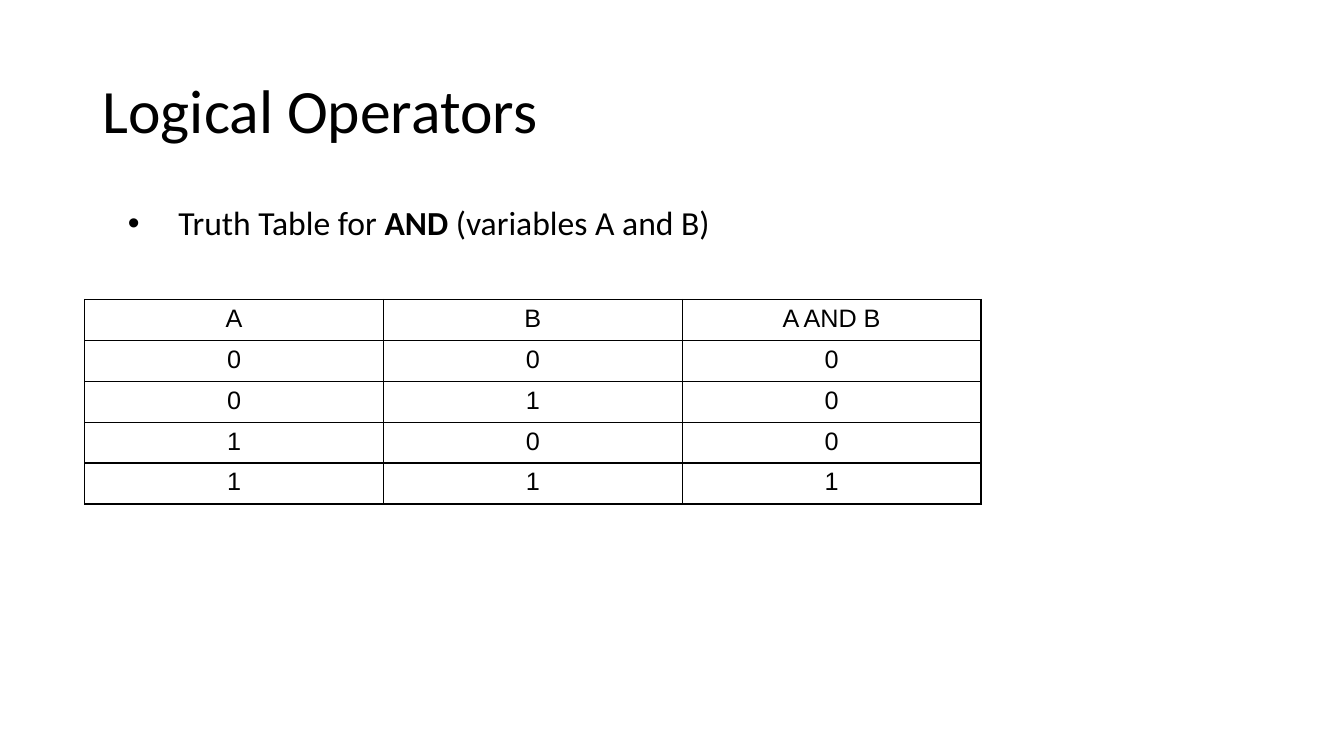
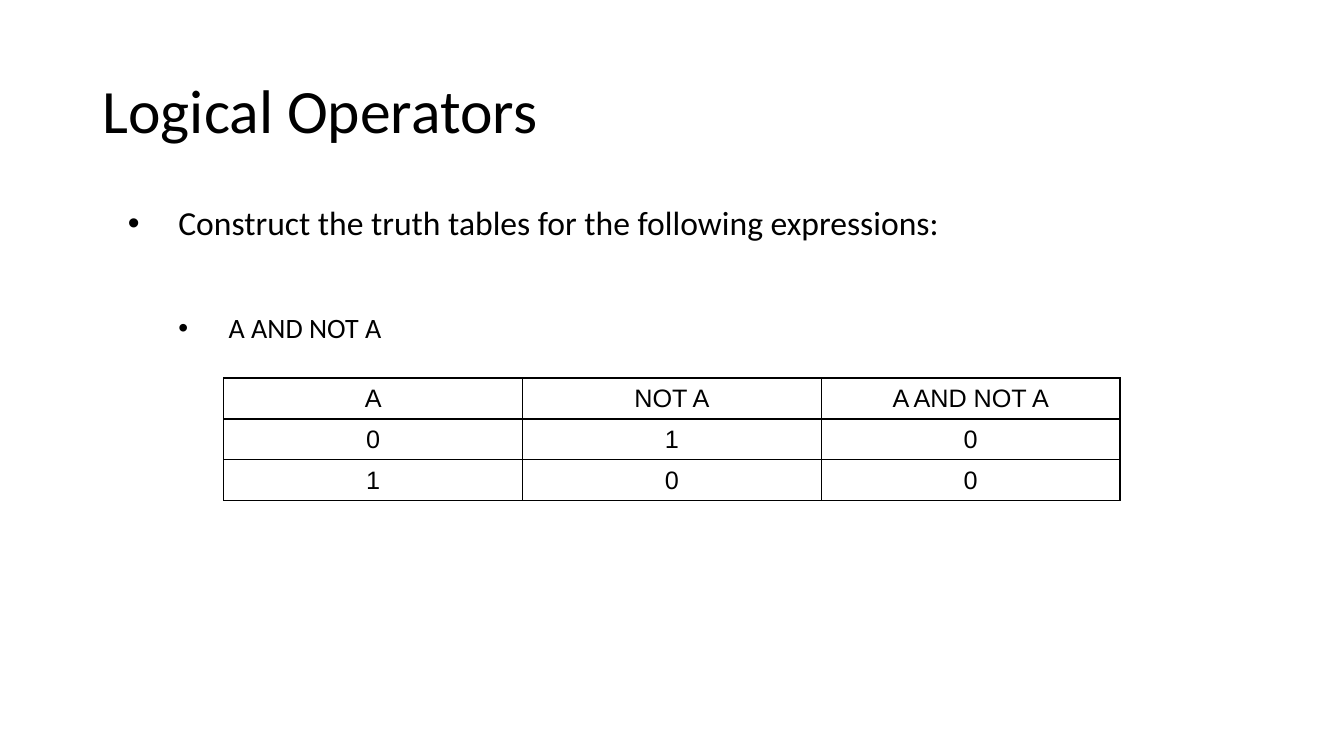
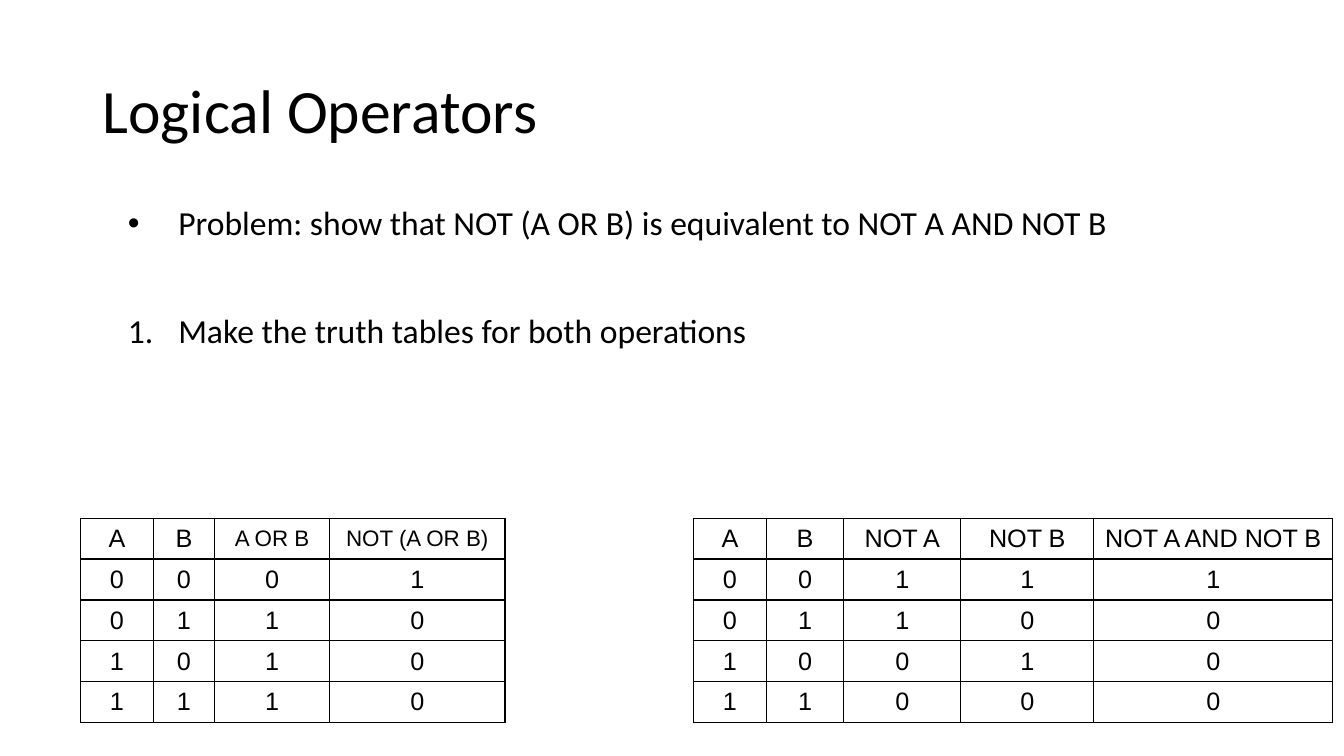
from lxml.etree import SubElement
from pptx import Presentation
from pptx.dml.color import RGBColor
from pptx.enum.text import MSO_ANCHOR as Anchor, PP_ALIGN as Align
from pptx.oxml.ns import qn
from pptx.util import Inches, Pt

BLACK = "000000"
TITLE = {"name": "Calibri", "size": Pt(44)}
BODY = {"name": "Calibri", "size": Pt(24)}
SUB = {"name": "Calibri", "size": Pt(20)}
CELL = {"name": "Arial", "size": Pt(18)}
SMALL_CELL = {"name": "Arial", "size": Pt(16)}
ROW_H = 2.03 / 5
THIRDS = [8.89 / 3] * 3
DOT = ("a:buChar", {"char": "•"})
NUMBER = ("a:buAutoNum", {"type": "arabicPeriod"})


def rgb(value):
    """Turn a hex string into a colour."""
    return RGBColor.from_string(value)


def set_font(font, fmt):
    """Apply a dict of format values and the text colour to a font."""
    for key, value in fmt.items():
        setattr(font, key, value)
    font.color.rgb = rgb(BLACK)


def add_run(p, text, fmt, bold=False):
    """Add one formatted run to a paragraph."""
    r = p.add_run()
    r.text = text
    set_font(r.font, {**fmt, "bold": bold})


def add_box(s, left, top, width, height, anchor=Anchor.TOP):
    """Add a wrapping text box and return its text frame."""
    tf = s.shapes.add_textbox(*map(Inches, (left, top, width, height))).text_frame
    tf.word_wrap = True
    tf.vertical_anchor = anchor
    return tf


def add_title_slide(prs):
    """Add a blank slide with the shared title."""
    s = prs.slides.add_slide(prs.slide_layouts[6])
    p = add_box(s, 0.92, 0.4, 11.5, 1.45, Anchor.MIDDLE).paragraphs[0]
    p.line_spacing = 0.9
    add_run(p, "Logical Operators", TITLE)
    return s


def set_bullet(p, bullet, left):
    """Give a paragraph a hanging bullet or number."""
    pPr = p._p.get_or_add_pPr()
    pPr.set("marL", str(Inches(left)))
    pPr.set("indent", str(Inches(-0.5)))
    SubElement(pPr, qn("a:buFont"), typeface="Arial" if bullet is DOT else "+mj-lt")
    tag, attrs = bullet
    SubElement(pPr, qn(tag), attrs)


def add_body(s, items):
    """Add the body list from (bullet, level, format, runs) items."""
    tf = add_box(s, 0.92, 2, 11.5, 4.76)
    for i, (bullet, level, fmt, runs) in enumerate(items):
        p = tf.add_paragraph() if i else tf.paragraphs[0]
        p.level = level
        p.line_spacing = 0.9
        if i:
            p.space_before = Pt(51)
        set_bullet(p, bullet, 0.75 + 0.5 * level)
        for text, bold in runs:
            add_run(p, text, fmt, bold)


def set_borders(cell):
    """Draw a thin line on all four sides of a cell."""
    tcPr = cell._tc.get_or_add_tcPr()
    for side in "LRTB":
        ln = SubElement(tcPr, qn(f"a:ln{side}"), w=str(Pt(1)))
        fill = SubElement(ln, qn("a:solidFill"))
        SubElement(fill, qn("a:srgbClr"), val=BLACK)


def add_truth_table(s, left, top, widths, heads, rows, anchor=Anchor.MIDDLE, small=()):
    """Add a truth table; each row is a string with one digit per column."""
    lines = [heads, *rows]
    size = (left, top, sum(widths), ROW_H * len(lines))
    table = s.shapes.add_table(len(lines), len(widths), *map(Inches, size)).table
    table.first_row = table.horz_banding = False
    for col, width in zip(table.columns, widths):
        col.width = Inches(width)
    for row, line in zip(table.rows, lines):
        row.height = Inches(ROW_H)
        for cell, text in zip(row.cells, line):
            set_borders(cell)
            cell.fill.background()
            cell.vertical_anchor = anchor
            p = cell.text_frame.paragraphs[0]
            p.alignment = Align.CENTER
            add_run(p, text, SMALL_CELL if text in small else CELL)


def main():
    """Build the three slides."""
    prs = Presentation()
    prs.slide_width, prs.slide_height = Inches(13.33), Inches(7.5)

    s = add_title_slide(prs)
    add_body(s, [(DOT, 0, BODY, [("Truth Table for ", False), ("AND ", True),
                                 ("(variables A and B)", False)])])
    add_truth_table(s, 0.84, 2.97, THIRDS, ["A", "B", "A AND B"],
                    ["000", "010", "100", "111"], Anchor.TOP)

    s = add_title_slide(prs)
    add_body(s, [
        (DOT, 0, BODY, [("Construct the truth tables for the following expressions:", False)]),
        (DOT, 1, SUB, [("A AND NOT A", False)]),
    ])
    add_truth_table(s, 2.22, 3.75, THIRDS, ["A", "NOT A", "A AND NOT A"], ["010", "100"])

    s = add_title_slide(prs)
    add_body(s, [
        (DOT, 0, BODY,
         [("Problem: show that NOT (A OR B) is equivalent to NOT A AND NOT B", False)]),
        (NUMBER, 0, BODY, [("Make the truth tables for both operations", False)]),
    ])
    add_truth_table(s, 6.88, 5.14, [0.72, 0.77, 1.16, 1.32, 2.37],
                    ["A", "B", "NOT A", "NOT B", "NOT A AND NOT B"],
                    ["00111", "01100", "10010", "11000"])
    add_truth_table(s, 0.8, 5.14, [0.72, 0.61, 1.14, 1.74],
                    ["A", "B", "A OR B", "NOT (A OR B)"],
                    ["0001", "0110", "1010", "1110"],
                    small=("A OR B", "NOT (A OR B)"))

    prs.save("out.pptx")


if __name__ == "__main__":
    main()
